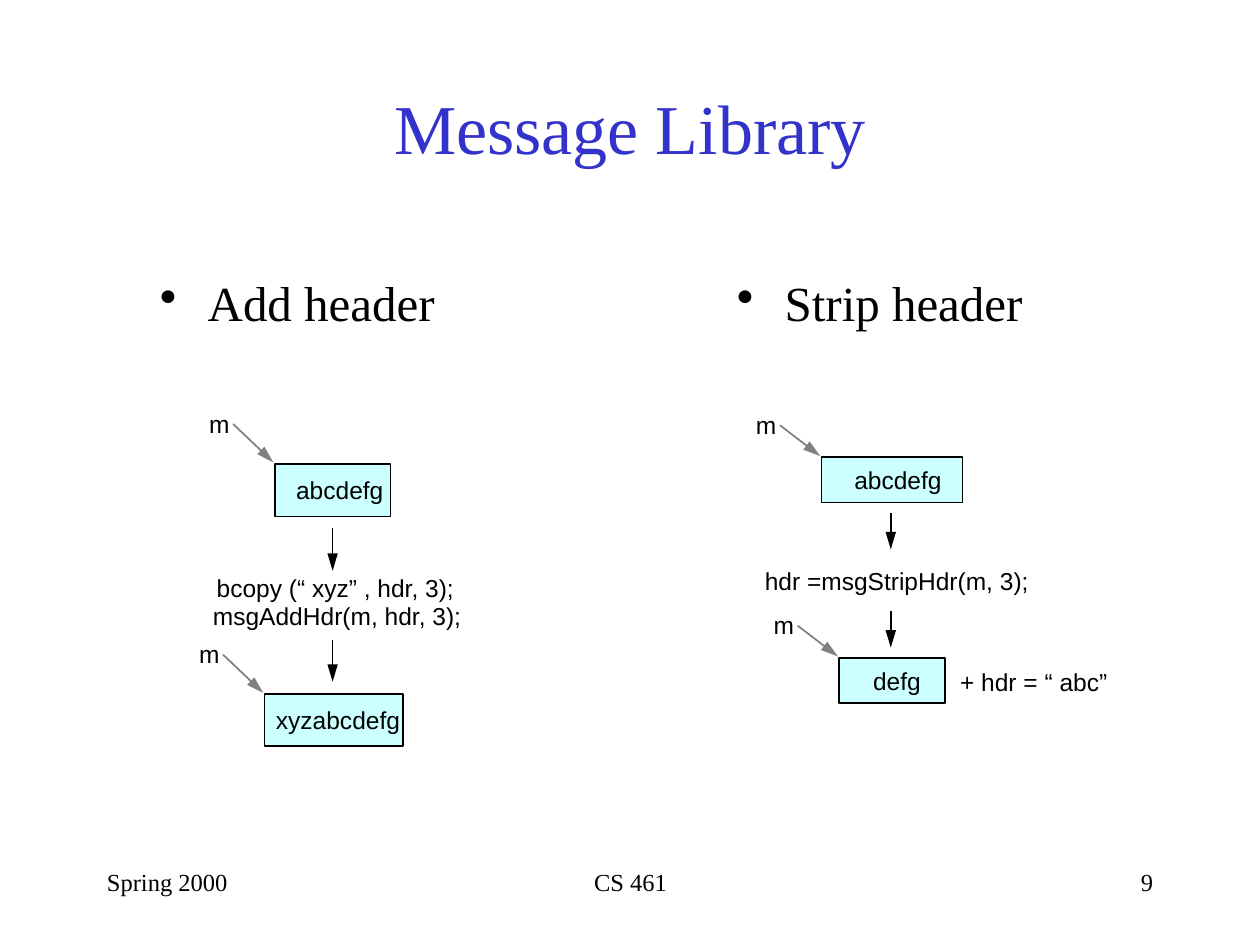
from lxml import etree
from pptx import Presentation
from pptx.dml.color import RGBColor
from pptx.enum.shapes import MSO_CONNECTOR, MSO_SHAPE
from pptx.enum.text import MSO_ANCHOR, PP_ALIGN
from pptx.oxml.ns import qn
from pptx.util import Emu, Inches, Pt

LEFT, CENTER, RIGHT = PP_ALIGN.LEFT, PP_ALIGN.CENTER, PP_ALIGN.RIGHT
TOP, MIDDLE = MSO_ANCHOR.TOP, MSO_ANCHOR.MIDDLE
RECTANGLE, STRAIGHT = MSO_SHAPE.RECTANGLE, MSO_CONNECTOR.STRAIGHT

COLORS = {"title": "3333CC", "text": "000000", "buffer": "CCFFFF",
          "flow": "000000", "pointer": "808080"}
SERIF, SANS = "Times New Roman", "Arial"

# Places are (column, row) on a grid of 100 columns by 75 rows.
COLUMNS, ROWS = 100, 75
TITLE = ("Message Library", (7.5, 4.2, 85, 12.5))
FOOTERS = [
    ("Spring 2000", (7.5, 68.3, 20.8, 5), LEFT),
    ("CS 461", (34.2, 68.3, 31.7, 5), CENTER),
    ("9", (71.7, 68.3, 20.8, 5), RIGHT),
]
# buffers: content, box, start column of the content
# flows: column, first row, last row
PANELS = [
    {"heading": ("Add header", (11.7, 21.7, 27.5, 7.5)),
     "buffers": [("abcdefg", (21.8, 36.8, 9.2, 4.2), 23.5),
                 ("xyzabcdefg", (21, 55.1, 11, 4.1), 21.9)],
     "pointer_rise": 4.35,
     "code": [("bcopy (“ xyz” , hdr, 3);", 17.2, 45.5),
              ("msgAddHdr(m, hdr, 3);", 16.9, 47.7)],
     "flows": [(26.4, 41.9, 45.3), (26.4, 50.8, 54.1)]},
    {"heading": ("Strip header", (57.5, 21.7, 26.7, 6)),
     "buffers": [("abcdefg", (65.2, 36.3, 11.2, 3.6), 67.8),
                 ("defg", (66.6, 52.2, 8.4, 3.6), 69.3)],
     "pointer_rise": 3.75,
     "code": [("hdr =msgStripHdr(m, 3);", 60.7, 44.9),
              ("+ hdr = “ abc”", 76.2, 52.9)],
     "flows": [(70.7, 40.7, 43.6), (70.7, 48.5, 51.4)]},
]
POINTER_NAME, POINTER_RUN = "m", 5.2
CODE_HEIGHT = 2.3

prs = Presentation()
prs.slide_width, prs.slide_height = Inches(10), Inches(7.5)
slide = prs.slides.add_slide(prs.slide_layouts[6])
shapes = slide.shapes
COL, ROW = prs.slide_width / COLUMNS, prs.slide_height / ROWS


def place(*grid):
    """Turn alternating columns and rows into slide lengths."""
    return [Emu(round(n * (ROW if i % 2 else COL))) for i, n in enumerate(grid)]


def rgb(role):
    return RGBColor.from_string(COLORS[role])


def write(shape, words, size, font=SERIF, role="text", align=LEFT,
          anchor=TOP, wrap=True, insets=(0.1, 0.05, 0.1, 0.05)):
    frame = shape.text_frame
    sides = ("margin_left", "margin_top", "margin_right", "margin_bottom")
    settings = dict(zip(sides, map(Inches, insets)),
                    word_wrap=wrap, vertical_anchor=anchor)
    for name, value in settings.items():
        setattr(frame, name, value)
    paragraph = frame.paragraphs[0]
    paragraph.alignment = align
    run = paragraph.add_run()
    run.text = words
    run.font.size, run.font.name = Pt(size), font
    run.font.color.rgb = rgb(role)
    return paragraph


def add_heading(words, box):
    paragraph = write(shapes.add_textbox(*place(*box)), words, 28)
    paragraph.line_spacing, paragraph.space_before = 0.9, Pt(7)
    properties = paragraph._p.get_or_add_pPr()
    properties.set("marL", str(Inches(0.38)))
    properties.set("indent", str(-Inches(0.38)))
    etree.SubElement(properties, qn("a:buChar"), char="•")


def add_code(words, column, row):
    width = len(words)
    box = shapes.add_textbox(*place(column, row, width, CODE_HEIGHT))
    write(box, words, 14, SANS, wrap=False, insets=(0, 0, 0, 0))


def add_arrow(start, end, role):
    arrow = shapes.add_connector(STRAIGHT, *place(*start, *end))
    arrow.line.width = Pt(1)
    arrow.line.color.rgb = rgb(role)
    etree.SubElement(arrow.line._get_or_add_ln(), qn("a:tailEnd"),
                     type="triangle", w="med", len="lg")
    etree.SubElement(arrow._element.spPr, qn("a:effectLst"))


def add_buffer(words, box, text_column, rise):
    """Draw a message buffer and the pointer to its top left corner."""
    left, top = box[:2]
    buffer = shapes.add_shape(RECTANGLE, *place(*box))
    buffer.shadow.inherit = False
    buffer.fill.solid()
    buffer.fill.fore_color.rgb = rgb("buffer")
    buffer.line.color.rgb = rgb("flow")
    buffer.line.width = Pt(1)
    inset = (text_column - left) * COL / Inches(1)
    write(buffer, words, 14, SANS, anchor=MIDDLE, wrap=False,
          insets=(inset, 0, 0, 0))
    name_column, name_row = left - POINTER_RUN, top - rise
    add_code(POINTER_NAME, name_column, name_row)
    add_arrow((name_column + 1.9, name_row + 1.2),
              (left - 0.1, top - 0.1), "pointer")


title, title_box = TITLE
write(shapes.add_textbox(*place(*title_box)), title, 40, role="title",
      align=CENTER, anchor=MIDDLE).line_spacing = 0.9

for panel in PANELS:
    add_heading(*panel["heading"])
    for buffer in panel["buffers"]:
        add_buffer(*buffer, panel["pointer_rise"])
    for statement in panel["code"]:
        add_code(*statement)
    for column, first, last in panel["flows"]:
        add_arrow((column, first), (column, last), "flow")

for words, box, align in FOOTERS:
    write(shapes.add_textbox(*place(*box)), words, 14, align=align)

prs.save("out.pptx")
